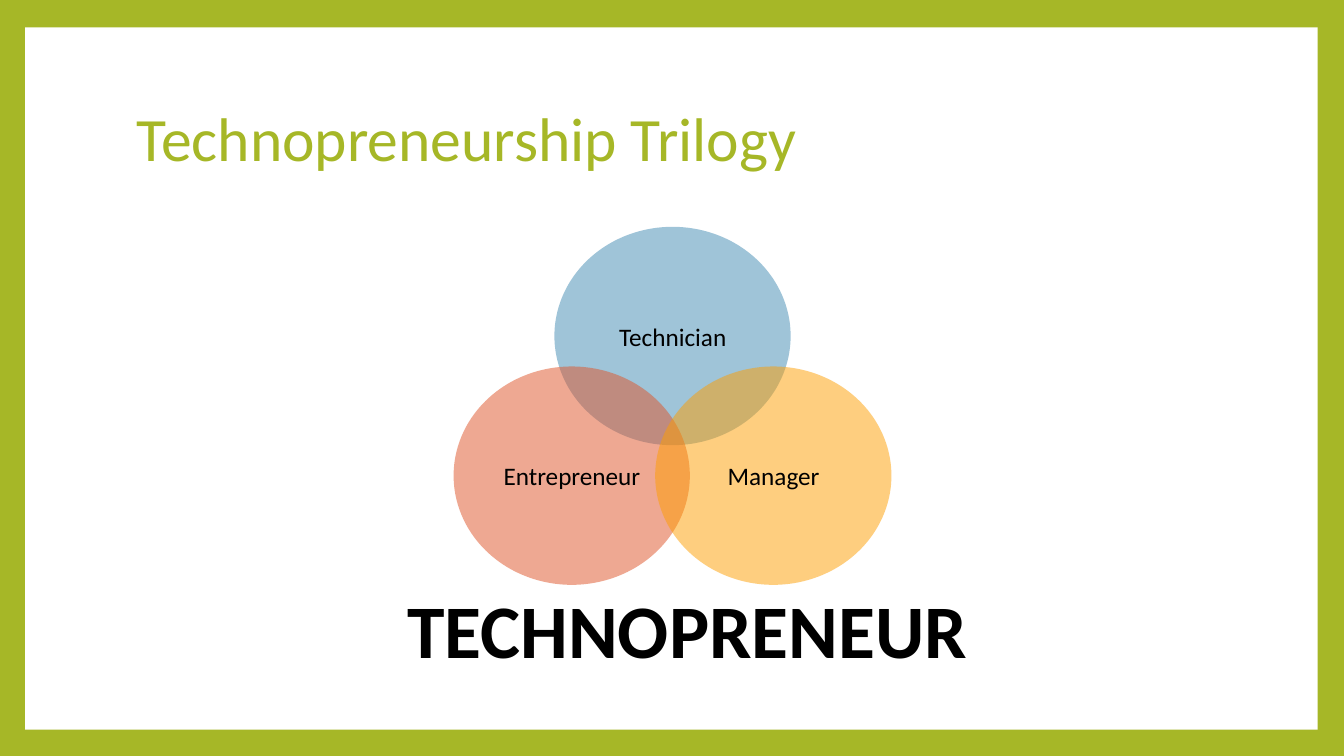
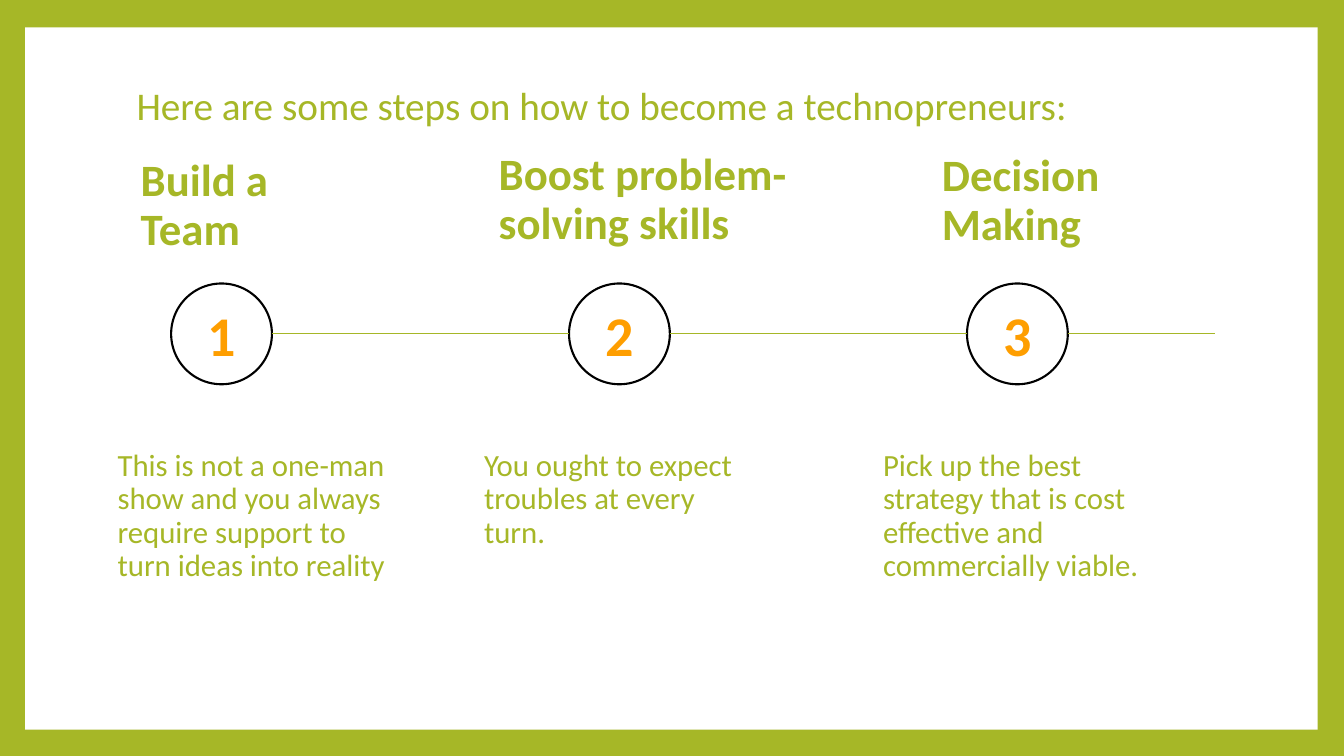
"""Build two slides on technopreneurship: a three-circle diagram and three steps."""
from dataclasses import dataclass
from itertools import zip_longest

from lxml.etree import SubElement
from pptx import Presentation
from pptx.dml.color import RGBColor
from pptx.enum.shapes import MSO_CONNECTOR as Connector
from pptx.enum.shapes import MSO_SHAPE as Preset
from pptx.enum.text import MSO_ANCHOR as Anchor
from pptx.enum.text import PP_ALIGN as Align
from pptx.oxml.ns import qn
from pptx.shapes.autoshape import Shape
from pptx.slide import Slide
from pptx.util import Emu, Pt

EMU_PER_PX = 9525
FONT = "Calibri"
GREEN = RGBColor(0xA6, 0xB7, 0x27)
BLUE = RGBColor(0x41, 0x8A, 0xB3)
RED = RGBColor(0xDF, 0x53, 0x27)
ORANGE = RGBColor(0xFE, 0x9E, 0x00)
WHITE = RGBColor(0xFF, 0xFF, 0xFF)
BLACK = RGBColor(0x00, 0x00, 0x00)

INSET = 10
INDENTED = 14
CIRCLE = 96
CIRCLE_LEFT, CIRCLE_TOP, CIRCLE_PITCH = 163, 270, 379
TIMELINE_END = 1157


@dataclass(frozen=True)
class Box:
    left: int
    top: int
    width: int
    height: int

    def emu(self) -> tuple[Emu, Emu, Emu, Emu]:
        return px(self.left), px(self.top), px(self.width), px(self.height)


@dataclass(frozen=True)
class Role:
    name: str
    color: RGBColor
    left: int
    top: int


@dataclass(frozen=True)
class Step:
    heading: str
    heading_box: Box
    detail: str
    detail_left: int


FRAME = Box(24, 26, 1231, 669)
ROLES = [
    Role("Technician", BLUE, 528, 216),
    Role("Entrepreneur", RED, 432, 349),
    Role("Manager", ORANGE, 624, 349),
]
STEPS = [
    Step("Build a Team", Box(120, 146, 182, 103),
         "This is not a one-man show and you always require support to "
         "turn ideas into reality", 98),
    Step("Boost problem-solving skills", Box(461, 140, 329, 103),
         "You ought to expect troubles at every turn.", 447),
    Step("Decision Making", Box(883, 141, 215, 103),
         "Pick up the best strategy that is cost effective and "
         "commercially viable.", 827),
]


def px(length: int) -> Emu:
    return Emu(length * EMU_PER_PX)


def write(shape: Shape, text: str, *, size: int, color: RGBColor,
          bold: bool = False, align: Align = Align.LEFT,
          anchor: Anchor = Anchor.MIDDLE, spacing: float = 0.9,
          inset: int = INSET) -> None:
    frame = shape.text_frame
    frame.word_wrap = True
    frame.vertical_anchor = anchor
    frame.margin_left = px(inset)
    para = frame.paragraphs[0]
    para.alignment = align
    para.line_spacing = spacing
    span = para.add_run()
    span.text = text
    span.font.name = FONT
    span.font.size = Pt(size)
    span.font.bold = bold
    span.font.color.rgb = color


def add_text(page: Slide, box: Box, text: str, **style) -> None:
    write(page.shapes.add_textbox(*box.emu()), text, **style)


def add_preset(page: Slide, preset: Preset, box: Box, fill: RGBColor, *,
               line: RGBColor | None = None, opacity: int = 100) -> Shape:
    shape = page.shapes.add_shape(preset, *box.emu())
    shape.shadow.inherit = False
    shape.fill.solid()
    shape.fill.fore_color.rgb = fill
    if opacity < 100:
        color = shape._element.spPr.find(qn("a:solidFill")).find(qn("a:srgbClr"))
        SubElement(color, qn("a:alpha")).set("val", str(opacity * 1000))
    if line is None:
        shape.line.fill.background()
    else:
        shape.line.color.rgb = line
        shape.line.width = Pt(1.5)
    return shape


def add_line(page: Slide, start: int, end: int, top: int) -> None:
    line = page.shapes.add_connector(
        Connector.STRAIGHT, px(start), px(top), px(end), px(top))
    line.line.color.rgb = GREEN
    line.line.width = Pt(0.79)
    SubElement(line._element.spPr, qn("a:effectLst"))


def add_page(deck: Presentation, title: str, *, size: int, height: int) -> Slide:
    page = deck.slides.add_slide(deck.slide_layouts[6])
    page.background.fill.solid()
    page.background.fill.fore_color.rgb = GREEN
    add_preset(page, Preset.RECTANGLE, FRAME, WHITE)
    add_text(page, Box(120, 64, 1037, height), title, size=size, color=GREEN)
    return page


def build_trilogy(deck: Presentation) -> None:
    page = add_page(deck, "Technopreneurship Trilogy", size=44, height=142)
    for role in ROLES:
        circle = add_preset(page, Preset.OVAL, Box(role.left, role.top, 225, 208),
                            role.color, opacity=50)
        write(circle, role.name, size=18, color=BLACK, align=Align.CENTER,
              spacing=1.0)
    add_text(page, Box(378, 558, 714, 91), "TECHNOPRENEUR",
             size=54, color=BLACK, bold=True)


def build_steps(deck: Presentation) -> None:
    page = add_page(deck, "Here are some steps on how to become a technopreneurs:",
                    size=28, height=77)
    lefts = [CIRCLE_LEFT + CIRCLE_PITCH * index for index in range(len(STEPS))]
    for number, (step, left) in enumerate(zip(STEPS, lefts), start=1):
        add_text(page, step.heading_box, step.heading, size=32, color=GREEN,
                 bold=True, anchor=Anchor.TOP, inset=INDENTED)
        circle = add_preset(page, Preset.OVAL,
                            Box(left, CIRCLE_TOP, CIRCLE, CIRCLE), WHITE, line=BLACK)
        write(circle, str(number), size=40, color=ORANGE, bold=True,
              align=Align.CENTER, spacing=1.0)
        add_text(page, Box(step.detail_left, 424, 286, 254), step.detail,
                 size=22, color=GREEN, anchor=Anchor.TOP, inset=INDENTED)
    for left, end in zip_longest(lefts, lefts[1:], fillvalue=TIMELINE_END):
        add_line(page, left + CIRCLE, end, CIRCLE_TOP + CIRCLE // 2)


def main() -> None:
    deck = Presentation()
    deck.slide_width, deck.slide_height = px(1280), px(720)
    build_trilogy(deck)
    build_steps(deck)
    deck.save("out.pptx")


if __name__ == "__main__":
    main()
